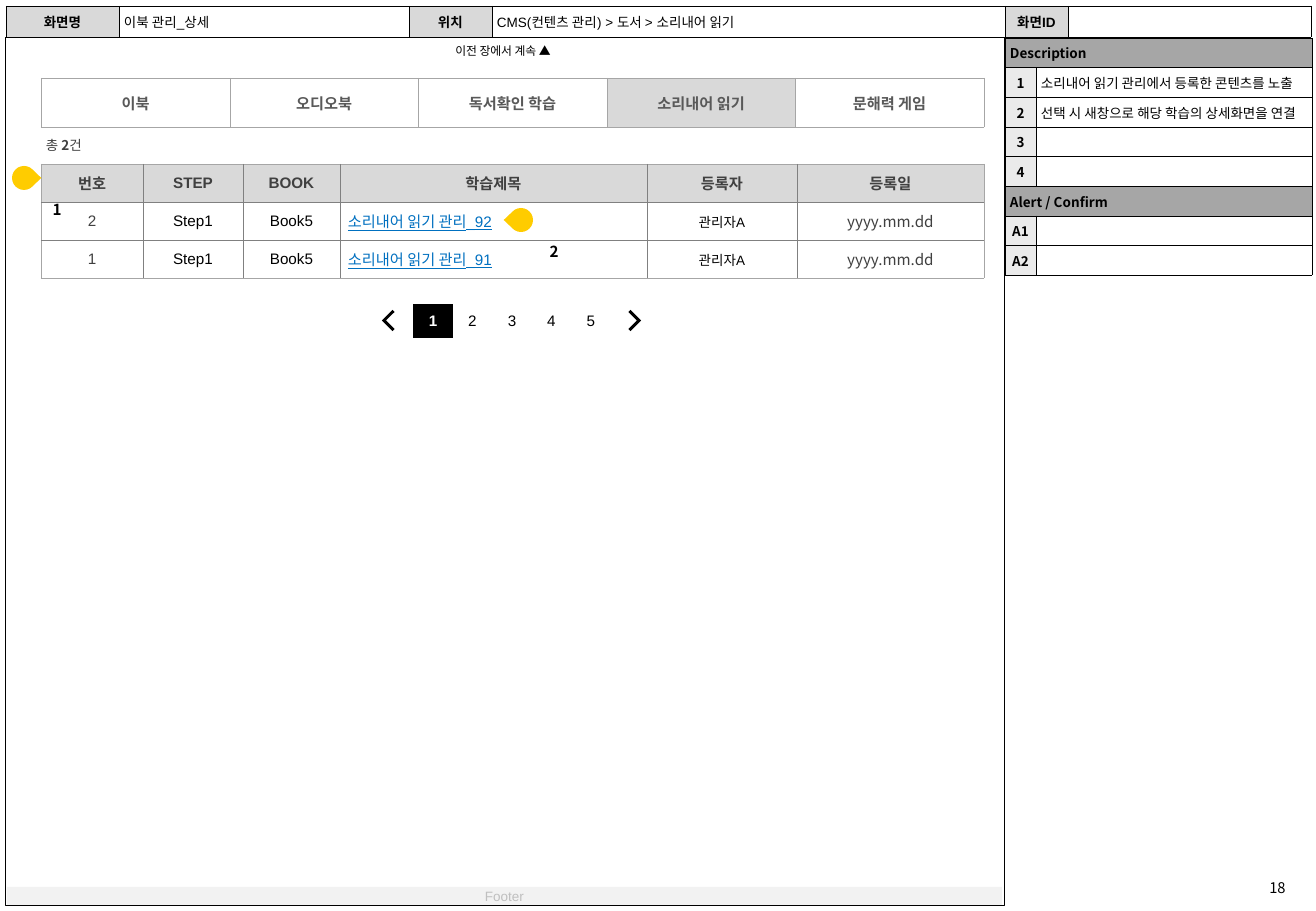
from lxml import etree
from pptx import Presentation
from pptx.dml import color as dml
from pptx.enum import shapes, text
from pptx.oxml import ns
from pptx import util as u

PX = 7526
ARIAL, NOTO = "Arial", "Noto Sans CJK KR"
LEFT, CENTER = text.PP_ALIGN.LEFT, text.PP_ALIGN.CENTER
tint = dml.RGBColor.from_string


def write(frame, content, size, font, color="000000", bold=False, align=CENTER):
    frame.text = content
    para = frame.paragraphs[0]
    para.alignment = align
    for span in para.runs:
        span.font.size = u.Pt(size)
        span.font.name = font
        span.font.bold = bold
        span.font.color.rgb = tint(color)
        east = etree.SubElement(span.font._element, ns.qn("a:ea"))
        east.set("typeface", NOTO)
        span.font._element.find(ns.qn("a:latin")).addnext(east)
    if not content:
        para._p.get_or_add_endParaRPr().set("sz", str(int(size * 100)))


def grid(left, top, widths, height, rows, inset, size, font, color, bold, line=None, edge=None):
    holder = page.shapes.add_table(len(rows), len(widths), left * PX, top * PX,
                                   sum(widths) * PX, height * len(rows) * PX)
    table = holder.table
    table.first_row = table.horz_banding = False
    for column, width in zip(table.columns, widths):
        column.width = width * PX
    for r, row in enumerate(rows):
        table.rows[r].height = height * PX
        for c, content in enumerate(row):
            cell = table.cell(r, c)
            cell.margin_left = cell.margin_right = inset[0] * PX
            cell.margin_top = cell.margin_bottom = inset[1] * PX
            cell.vertical_anchor = text.MSO_ANCHOR.MIDDLE
            outer = {"L": c == 0, "R": c == len(widths) - 1, "T": r == 0, "B": r == len(rows) - 1}
            for side, at_edge in outer.items():
                border = etree.SubElement(cell._tc.get_or_add_tcPr(), ns.qn("a:ln" + side))
                if line:
                    border.set("w", "3175")
                    paint = etree.SubElement(border, ns.qn("a:solidFill"))
                    shade = edge if edge and at_edge else line
                    etree.SubElement(paint, ns.qn("a:srgbClr")).set("val", shade)
                else:
                    etree.SubElement(border, ns.qn("a:noFill"))
            cell.fill.solid()
            cell.fill.fore_color.rgb = tint("FFFFFF")
            write(cell.text_frame, content, size, font, color, bold)
    return table


deck = Presentation()
deck.slide_width, deck.slide_height = 1316 * PX, 911 * PX
page = deck.slides.add_slide(deck.slide_layouts[6])

KIND = shapes.MSO_SHAPE
frame = page.shapes.add_shape(KIND.RECTANGLE, 5 * PX, 37 * PX, 999 * PX, 868 * PX)
frame.shadow.inherit = False
frame.fill.background()
frame.line.color.rgb = tint("000000")
frame.line.width = u.Pt(0.25)

solids = {}
for name, kind, left, top, width, height, turn, fill in [
    ("footer", KIND.RECTANGLE, 7, 887, 995, 18, 0, "F2F2F2"),
    ("previous", KIND.CORNER, 385, 313, 15, 15, 45, "000000"),
    ("next", KIND.CORNER, 623, 313, 15, 15, 225, "000000"),
]:
    shape = page.shapes.add_shape(kind, left * PX, top * PX, width * PX, height * PX)
    shape.shadow.inherit = False
    shape.fill.solid()
    shape.fill.fore_color.rgb = tint(fill)
    shape.line.fill.background()
    shape.rotation = turn
    if kind == KIND.CORNER:
        shape.adjustments[0] = shape.adjustments[1] = 0.2
    solids[name] = shape
footer = solids["footer"].text_frame
footer.margin_top = footer.margin_bottom = 0
footer.vertical_anchor = text.MSO_ANCHOR.MIDDLE
write(footer, "Footer", 8, ARIAL, "BFBFBF")

header = grid(6, 6, [113, 290, 83, 513, 63, 243], 31, [
    ["화면명", "이북 관리_상세", "위치", "CMS(컨텐츠 관리) > 도서 > 소리내어 읽기", "화면ID", ""],
], (5, 2), 8, ARIAL, "000000", True, "000000")
for c in (0, 2, 4):
    header.cell(0, c).fill.fore_color.rgb = tint("D9D9D9")
for c in (1, 3):
    para = header.cell(0, c).text_frame.paragraphs[0]
    para.alignment = LEFT
    para.runs[0].font.bold = False

tabs = grid(41, 78, [189, 188, 189, 188, 189], 49, [
    ["이북", "오디오북", "독서확인 학습", "소리내어 읽기", "문해력 게임"],
], (12, 6), 9, NOTO, "595959", True, "A6A6A6")
tabs.cell(0, 3).fill.fore_color.rgb = tint("D9D9D9")

lessons = grid(41, 164, [102, 100, 97, 307, 150, 187], 36, [
    ["번호", "STEP", "BOOK", "학습제목", "등록자", "등록일"],
    ["2", "Step1", "Book5", "소리내어 읽기 관리_92", "관리자A", "yyyy.mm.dd"],
    ["1", "Step1", "Book5", "소리내어 읽기 관리_91", "관리자A", "yyyy.mm.dd"],
], (8, 8), 9, ARIAL, "404040", False, "808080", "A6A6A6")
for cell in lessons.iter_cells():
    cell.text_frame.paragraphs[0].space_after = u.Pt(4)
for c in range(6):
    lessons.cell(0, c).fill.fore_color.rgb = tint("D9D9D9")
    lessons.cell(0, c).text_frame.paragraphs[0].runs[0].font.bold = True
for r in (1, 2):
    paras = [lessons.cell(r, c).text_frame.paragraphs[0] for c in range(6)]
    for c in (1, 2, 4):
        paras[c].runs[0].font.color.rgb = tint("000000")
    paras[3].alignment = LEFT
    paras[3].runs[0].font.color.rgb = tint("0070C0")
    paras[3].runs[0].font.underline = True
    paras[4].runs[0].font.size = u.Pt(8)
    paras[5].runs[0].font.name = NOTO

pager = grid(413, 304, [40, 39, 40, 39, 40], 34, [list("12345")],
             (0, 0), 9, ARIAL, "000000", False)
current = pager.cell(0, 0)
current.fill.fore_color.rgb = tint("000000")
current_font = current.text_frame.paragraphs[0].runs[0].font
current_font.bold = True
current_font.color.rgb = tint("FFFFFF")

notes = grid(1005, 38, [31, 276], 26, [
    ["Description", ""],
    ["1", "소리내어 읽기 관리에서 등록한 콘텐츠를 노출"],
    ["2", "선택 시 새창으로 해당 학습의 상세화면을 연결"],
    ["3", ""],
    ["4", ""],
    ["Alert / Confirm", ""],
    ["A1", ""],
    ["A2", ""],
], (5, 5), 8, NOTO, "000000", True, "000000")
for r in range(8):
    label, detail = notes.cell(r, 0), notes.cell(r, 1)
    label.fill.fore_color.rgb = tint("A6A6A6" if r in (0, 5) else "EAEAEA")
    detail.text_frame.paragraphs[0].alignment = LEFT
    for span in detail.text_frame.paragraphs[0].runs:
        span.font.bold = False
    if r in (0, 5):
        label.text_frame.paragraphs[0].alignment = LEFT
        label.merge(detail)

labels = [
    ("이전 장에서 계속 ▲", 437, 38, 132, 27, 7, False, (12, 6)),
    ("18", 1243, 873, 69, 32, 8.7, False, (12, 6)),
]
for number, left, top, turn in [("1", 12, 166, 45), ("2", 509, 208, 225)]:
    marker = page.shapes.add_shape(KIND.TEAR, left * PX, top * PX, 24 * PX, 24 * PX)
    marker.shadow.inherit = False
    marker.adjustments[0] = 1.02
    marker.rotation = turn
    marker.fill.solid()
    marker.fill.fore_color.rgb = tint("FFCC00")
    marker.line.fill.background()
    labels.append((number, left + 28, top + 28, 34, 30, 9, True, (12, 6)))

for content, left, top, width, height, size, bold, inset in labels:
    box = page.shapes.add_textbox(left * PX, top * PX, width * PX, height * PX).text_frame
    box.margin_left = box.margin_right = inset[0] * PX
    box.margin_top = box.margin_bottom = inset[1] * PX
    box.word_wrap = content == "18"
    write(box, content, size, NOTO, bold=bold)

total = page.shapes.add_textbox(41 * PX, 132 * PX, 283 * PX, 26 * PX).text_frame
total.word_wrap = True
total.margin_left = total.margin_right = total.margin_top = total.margin_bottom = 5 * PX
for part in ("총 ", "2", "건"):
    total.paragraphs[0].add_run().text = part
for span in total.paragraphs[0].runs:
    span.font.size = u.Pt(8)
    span.font.name = NOTO
    span.font.bold = span.text == "2"
    span.font.color.rgb = tint("404040")
    etree.SubElement(span.font._element, ns.qn("a:ea")).set("typeface", NOTO)

deck.save("out.pptx")
